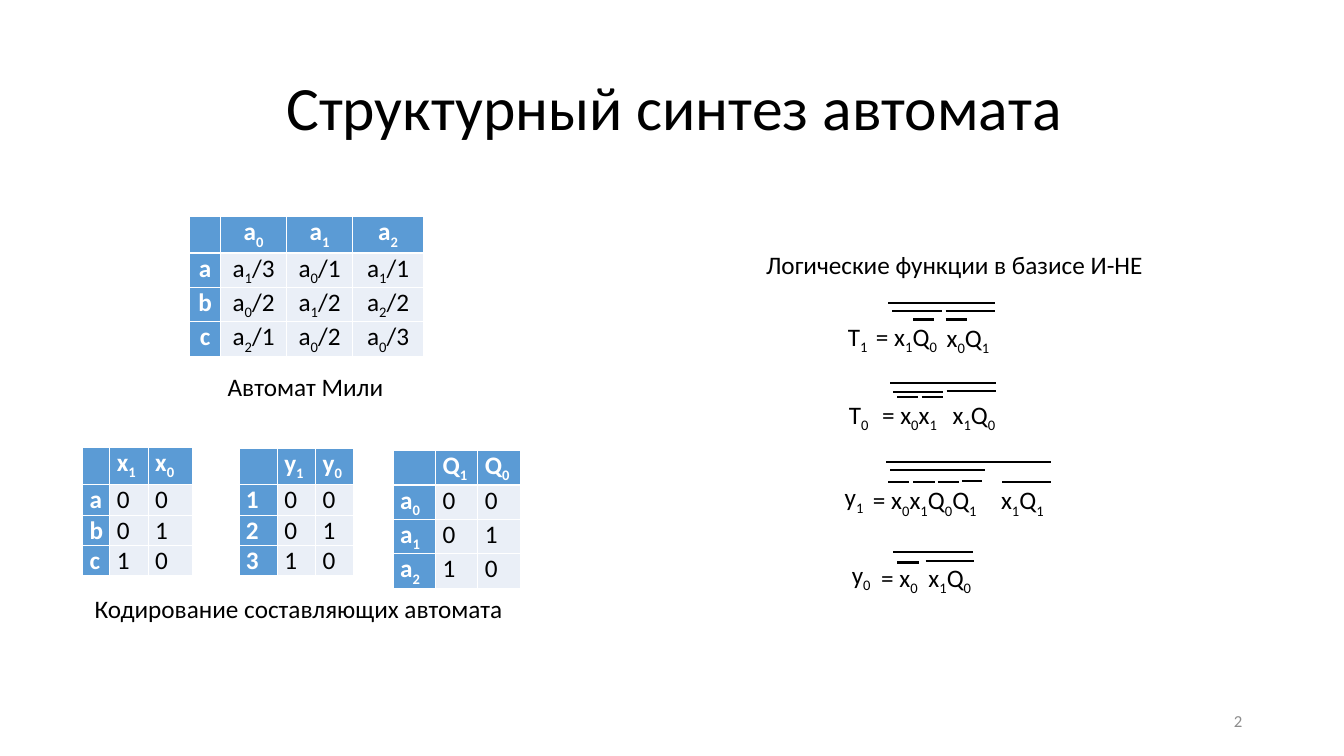
from pptx import Presentation
from pptx.dml.color import RGBColor
from pptx.enum.shapes import MSO_CONNECTOR
from pptx.enum.text import MSO_ANCHOR, PP_ALIGN
from pptx.oxml.ns import qn
from pptx.util import Inches, Pt
from lxml import etree

LEFT, CENTER, RIGHT, JUSTIFY = PP_ALIGN.LEFT, PP_ALIGN.CENTER, PP_ALIGN.RIGHT, PP_ALIGN.JUSTIFY
TOP, MIDDLE = MSO_ANCHOR.TOP, MSO_ANCHOR.MIDDLE
STRAIGHT = MSO_CONNECTOR.STRAIGHT
COLORS = {"text": "000000", "header": "5B9BD5", "body": "EAEFF7", "white": "FFFFFF", "number": "8C8C8C"}


def write(p, text, color="text", size=18, bold=False):
    """Fill a paragraph; the character after each underscore becomes a subscript."""
    first, *rest = text.split("_")
    parts = [(first, False)]
    for part in rest:
        parts += [(part[0], True), (part[1:], False)]
    for part, is_subscript in parts:
        if not part:
            continue
        r = p.add_run()
        r.text = part
        for name, value in {"name": "Calibri", "size": Pt(size), "bold": bold}.items():
            setattr(r.font, name, value)
        r.font.color.rgb = RGBColor.from_string(COLORS[color])
        if is_subscript:
            r.font._element.set("baseline", "-25000")


def add_text(box, text, align=LEFT, anchor=TOP, wrap=False, **font):
    tf = s.shapes.add_textbox(*map(Inches, box)).text_frame
    tf.word_wrap = wrap
    tf.vertical_anchor = anchor
    p = tf.paragraphs[0]
    p.alignment = align
    write(p, text, **font)
    return p


prs = Presentation()
prs.slide_width, prs.slide_height = Inches(13.33), Inches(7.5)
s = prs.slides.add_slide(prs.slide_layouts[6])

title = add_text((0.94, 0.37, 11.5, 1.45), "Структурный синтез автомата", CENTER, MIDDLE, True, size=44)
title.line_spacing = 0.9
add_text((9.42, 6.95, 3, 0.4), "2", RIGHT, MIDDLE, True, size=12, color="number")

# Captions
add_text((2.16, 3.63, 1.76, 0.4), "Автомат Мили")
add_text((0.84, 5.84, 4.55, 0.4), "Кодирование составляющих автомата", wrap=True)
add_text((7.5, 2.42, 3.98, 0.4), "Логические функции в базисе И-НЕ")

# Tables: left, top, column widths, header height, row height, alignment, rows
tables = [
    (1.88, 2.15, (0.31, 0.65, 0.66, 0.7), 0.36, 0.33, CENTER,
     [("", "a_0", "a_1", "a_2"),
      ("a", "a_1/3", "a_0/1", "a_1/1"),
      ("b", "a_0/2", "a_1/2", "a_2/2"),
      ("c", "a_2/1", "a_0/2", "a_0/3")]),
    (0.82, 4.44, (0.27, 0.38, 0.44), 0.37, 0.24, JUSTIFY,
     [("", "x_1", "x_0"), ("a", "0", "0"), ("b", "0", "1"), ("c", "1", "0")]),
    (2.37, 4.45, (0.38, 0.38, 0.38), 0.36, 0.24, JUSTIFY,
     [("", "y_1", "y_0"), ("1", "0", "0"), ("2", "0", "1"), ("3", "1", "0")]),
    (3.9, 4.47, (0.42, 0.42, 0.42), 0.34, 0.24, JUSTIFY,
     [("", "Q_1", "Q_0"), ("a_0", "0", "0"), ("a_1", "0", "1"), ("a_2", "1", "0")]),
]
for left, top, widths, header_height, row_height, align, rows in tables:
    heights = [header_height] + [row_height] * (len(rows) - 1)
    box = (left, top, sum(widths), sum(heights))
    table = s.shapes.add_table(len(rows), len(widths), *map(Inches, box)).table
    table.first_col = True
    table.horz_banding = False
    for column, width in zip(table.columns, widths):
        column.width = Inches(width)
    for i, (height, values) in enumerate(zip(heights, rows)):
        table.rows[i].height = Inches(height)
        for j, value in enumerate(values):
            cell = table.cell(i, j)
            is_header = i == 0 or j == 0
            margins = {"margin_left": 0.07, "margin_right": 0.07, "margin_top": 0, "margin_bottom": 0}
            for name, margin in margins.items():
                setattr(cell, name, Inches(margin))
            cell.fill.solid()
            cell.fill.fore_color.rgb = RGBColor.from_string(COLORS["header" if is_header else "body"])
            p = cell.text_frame.paragraphs[0]
            p.alignment = align
            write(p, value, color="white" if is_header else "text", bold=is_header)

# Logic functions: text pieces (left, top, width, text), then negation bars (y, from x, to x)
functions = [
    ([(8.31, 3.14, 0.41, "T_1"), (8.59, 3.14, 0.84, "= x_1Q_0"), (9.29, 3.15, 0.65, "x_0Q_1")],
     [(3.01, 8.81, 9.87), (3.09, 8.85, 9.34), (3.09, 9.38, 9.87), (3.17, 9.06, 9.26), (3.17, 9.38, 9.59)]),
    ([(8.32, 3.91, 0.41, "T_0"), (8.65, 3.91, 0.78, "= x_0x_1"), (9.35, 3.91, 0.65, "x_1Q_0")],
     [(3.8, 8.83, 9.88), (3.89, 8.86, 9.35), (3.88, 9.39, 9.88), (3.94, 8.9, 9.1), (3.94, 9.14, 9.35)]),
    ([(8.28, 4.73, 0.4, "y_1"), (8.56, 4.76, 1.29, "= x_0x_1Q_0Q_1"), (9.83, 4.76, 0.65, "x_1Q_1")],
     [(4.58, 8.79, 10.42), (4.66, 8.83, 9.77), (4.78, 8.81, 9.02), (4.78, 9.06, 9.27),
      (4.78, 9.3, 9.51), (4.77, 9.54, 9.74), (4.78, 9.94, 10.42)]),
    ([(8.35, 5.5, 0.4, "y_0"), (8.64, 5.53, 0.58, "= x_0"), (9.11, 5.53, 0.65, "x_1Q_0")],
     [(5.48, 8.86, 9.65), (5.58, 8.9, 9.11), (5.57, 9.18, 9.66)]),
]
for pieces, bars in functions:
    for left, top, width, text in pieces:
        add_text((left, top, width, 0.4), text)
    for y, start, end in bars:
        bar = s.shapes.add_connector(STRAIGHT, *map(Inches, (start, y, end, y)))
        bar.line.width = Pt(1.5)
        bar.line.color.rgb = RGBColor.from_string(COLORS["text"])
        etree.SubElement(bar._element.spPr, qn("a:effectLst"))

prs.save("out.pptx")
